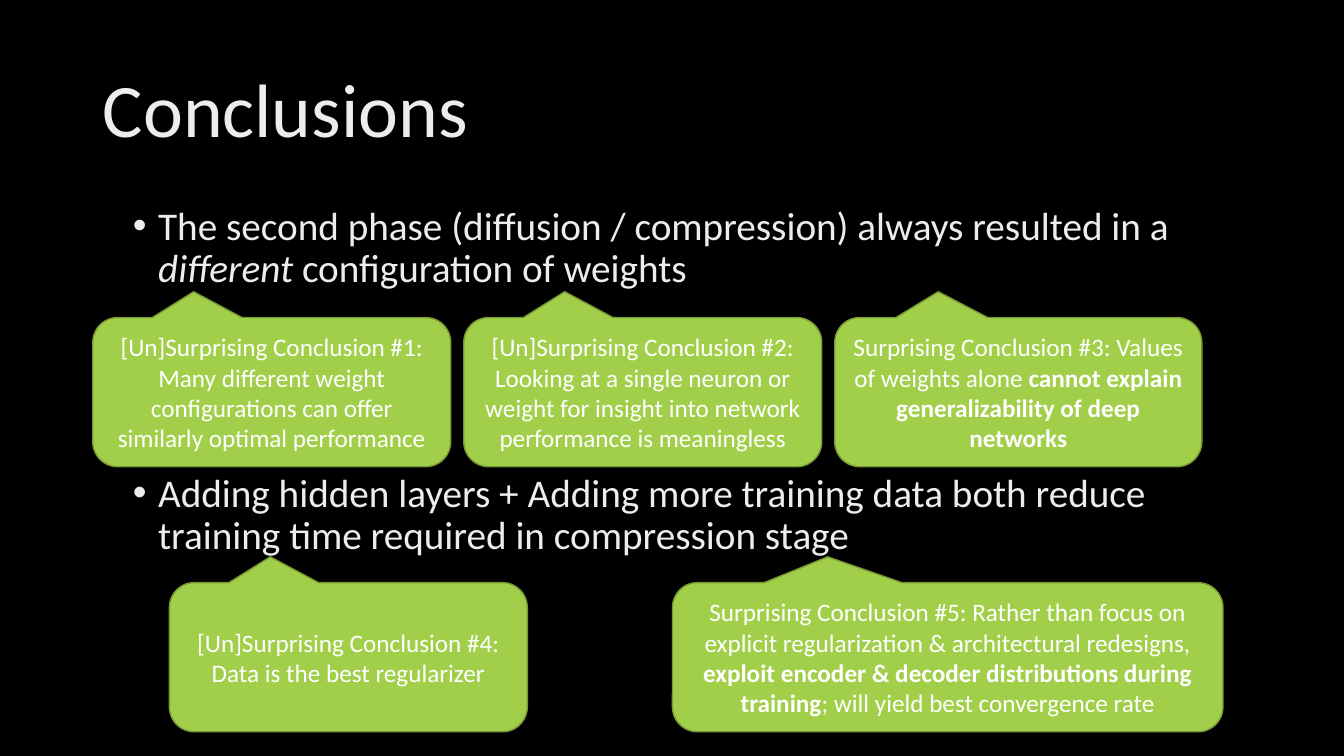
from lxml import etree
from pptx import Presentation
from pptx.dml.color import RGBColor
from pptx.enum.shapes import MSO_SHAPE
from pptx.enum.text import MSO_ANCHOR, MSO_AUTO_SIZE, PP_ALIGN
from pptx.oxml.ns import qn
from pptx.util import Inches, Pt

TITLE = "Conclusions"
BULLETS = [
    [("The second phase (diffusion / compression) always resulted in a ", {}),
     ("different", {"italic": True}),
     (" configuration of weights", {})],
    [("Adding hidden layers + Adding more training data both reduce "
      "training time required in compression stage", {})],
]
BOLD = {"bold": True}
ROWS = [
    {"left": 0.92, "top": 3.15, "gap": 0.13, "notes": [
        (3.55, [("[Un]Surprising Conclusion #1: Many different weight "
                 "configurations can offer similarly optimal performance", {})]),
        (3.55, [("[Un]Surprising Conclusion #2: Looking at a single neuron or "
                 "weight for insight into network performance is meaningless", {})]),
        (3.64, [("Surprising Conclusion #3: Values of weights alone ", {}),
                ("cannot explain generalizability of deep networks", BOLD)]),
    ]},
    {"left": 1.68, "top": 5.78, "gap": 1.44, "notes": [
        (3.55, [("[Un]Surprising Conclusion #4: Data is the best regularizer", {})]),
        (5.46, [("Surprising Conclusion #5: Rather than focus on explicit "
                 "regularization & architectural redesigns, ", {}),
                ("exploit encoder & decoder distributions during training", BOLD),
                ("; will yield best convergence rate", {})]),
    ]},
]

BLACK = RGBColor(0x00, 0x00, 0x00)
PALE = RGBColor(0xED, 0xED, 0xED)
WHITE = RGBColor(0xFF, 0xFF, 0xFF)
GREEN = RGBColor(0xA2, 0xCF, 0x49)
OLIVE = RGBColor(0x78, 0x99, 0x36)
FACE = "Calibri"
HIGH = 1.48
ADJUST = (-0.218, -0.673, 0.167)
LEFT, CENTER = PP_ALIGN.LEFT, PP_ALIGN.CENTER
MIDDLE, TOP = MSO_ANCHOR.MIDDLE, MSO_ANCHOR.TOP
FIXED = MSO_AUTO_SIZE.NONE
CALLOUT = MSO_SHAPE.ROUNDED_RECTANGULAR_CALLOUT


def style(item, form):
    for name, value in form.items():
        setattr(item, name, value)


def write(para, runs, size, color):
    for text, form in runs:
        run = para.add_run()
        run.text = text
        style(run.font, {"name": FACE, "size": Pt(size), **form})
        run.font.color.rgb = color


def add_bullet(para):
    props = para._p.get_or_add_pPr()
    props.set("marL", str(Inches(0.25)))
    props.set("indent", str(-Inches(0.25)))
    etree.SubElement(props, qn("a:buFont")).set("typeface", "Arial")
    etree.SubElement(props, qn("a:buChar")).set("char", "•")


def add_title(slide):
    title = slide.shapes.title
    style(title, {"left": Inches(0.92), "top": Inches(0.4),
                  "width": Inches(11.5), "height": Inches(1.45)})
    frame = title.text_frame
    style(frame, {"auto_size": FIXED, "word_wrap": True, "vertical_anchor": MIDDLE})
    para = frame.paragraphs[0]
    style(para, {"alignment": LEFT, "line_spacing": 0.9})
    write(para, [(TITLE, {})], 54, PALE)


def add_body(slide):
    box = slide.shapes.add_textbox(Inches(1.22), Inches(2), Inches(11.19), Inches(4.76))
    frame = box.text_frame
    style(frame, {"auto_size": FIXED, "word_wrap": True, "vertical_anchor": TOP})
    for index, runs in enumerate(BULLETS):
        para = frame.add_paragraph() if index else frame.paragraphs[0]
        style(para, {"line_spacing": 0.9, "space_before": Pt(130 * index)})
        add_bullet(para)
        write(para, runs, 28, PALE)


def add_note(slide, left, top, width, runs):
    note = slide.shapes.add_shape(
        CALLOUT, Inches(left), Inches(top), Inches(width), Inches(HIGH))
    note.shadow.inherit = False
    for index, value in enumerate(ADJUST):
        note.adjustments[index] = value
    note.fill.solid()
    note.fill.fore_color.rgb = GREEN
    note.line.color.rgb = OLIVE
    note.line.width = Pt(1)
    frame = note.text_frame
    style(frame, {"word_wrap": True, "vertical_anchor": MIDDLE})
    para = frame.paragraphs[0]
    para.alignment = CENTER
    write(para, runs, 18, WHITE)


def main():
    deck = Presentation()
    style(deck, {"slide_width": Inches(13.33), "slide_height": Inches(7.5)})
    slide = deck.slides.add_slide(deck.slide_layouts[5])
    slide.background.fill.solid()
    slide.background.fill.fore_color.rgb = BLACK
    add_title(slide)
    add_body(slide)
    for row in ROWS:
        left = row["left"]
        for width, runs in row["notes"]:
            add_note(slide, left, row["top"], width, runs)
            left += width + row["gap"]
    deck.save("out.pptx")


if __name__ == "__main__":
    main()
